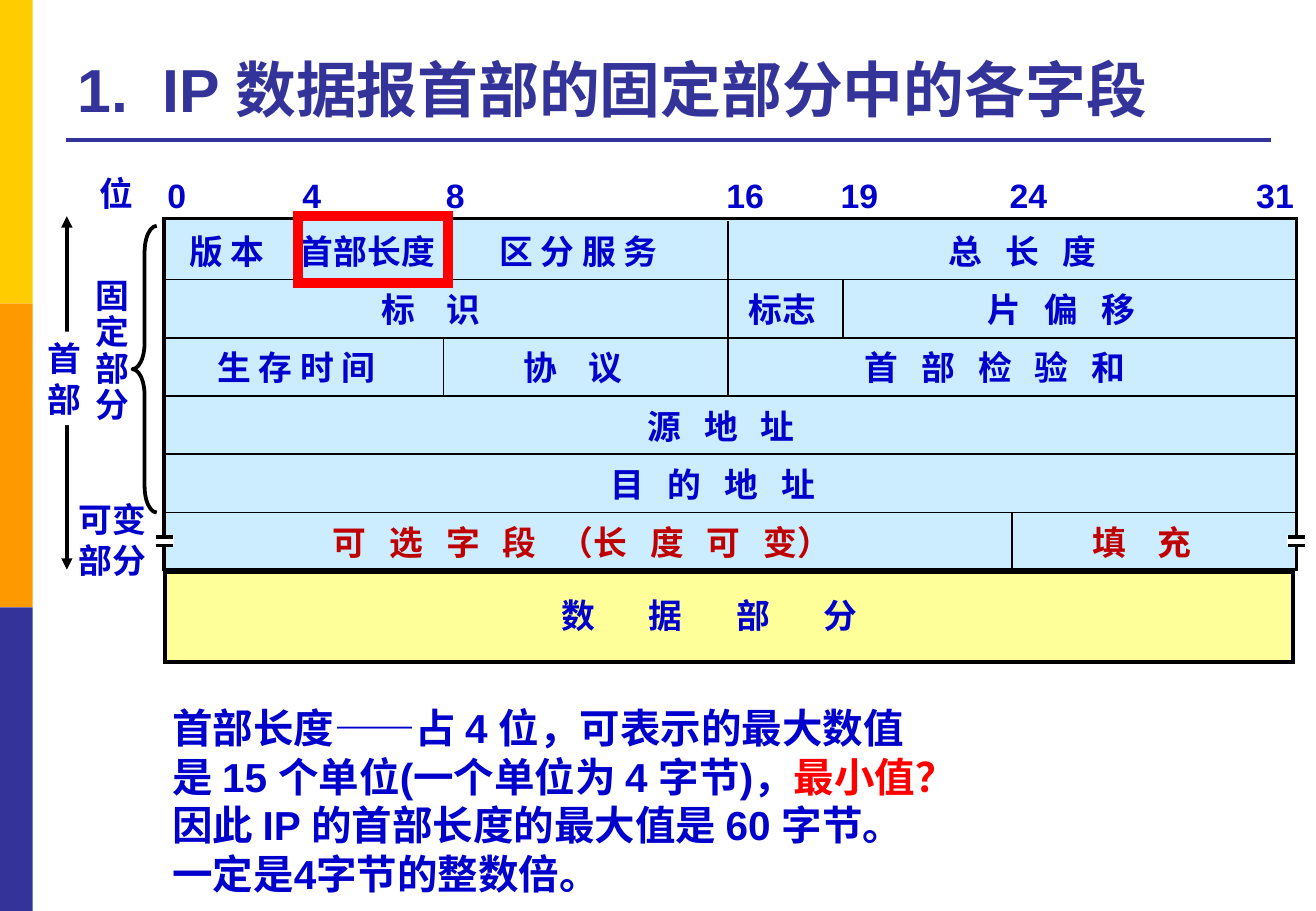
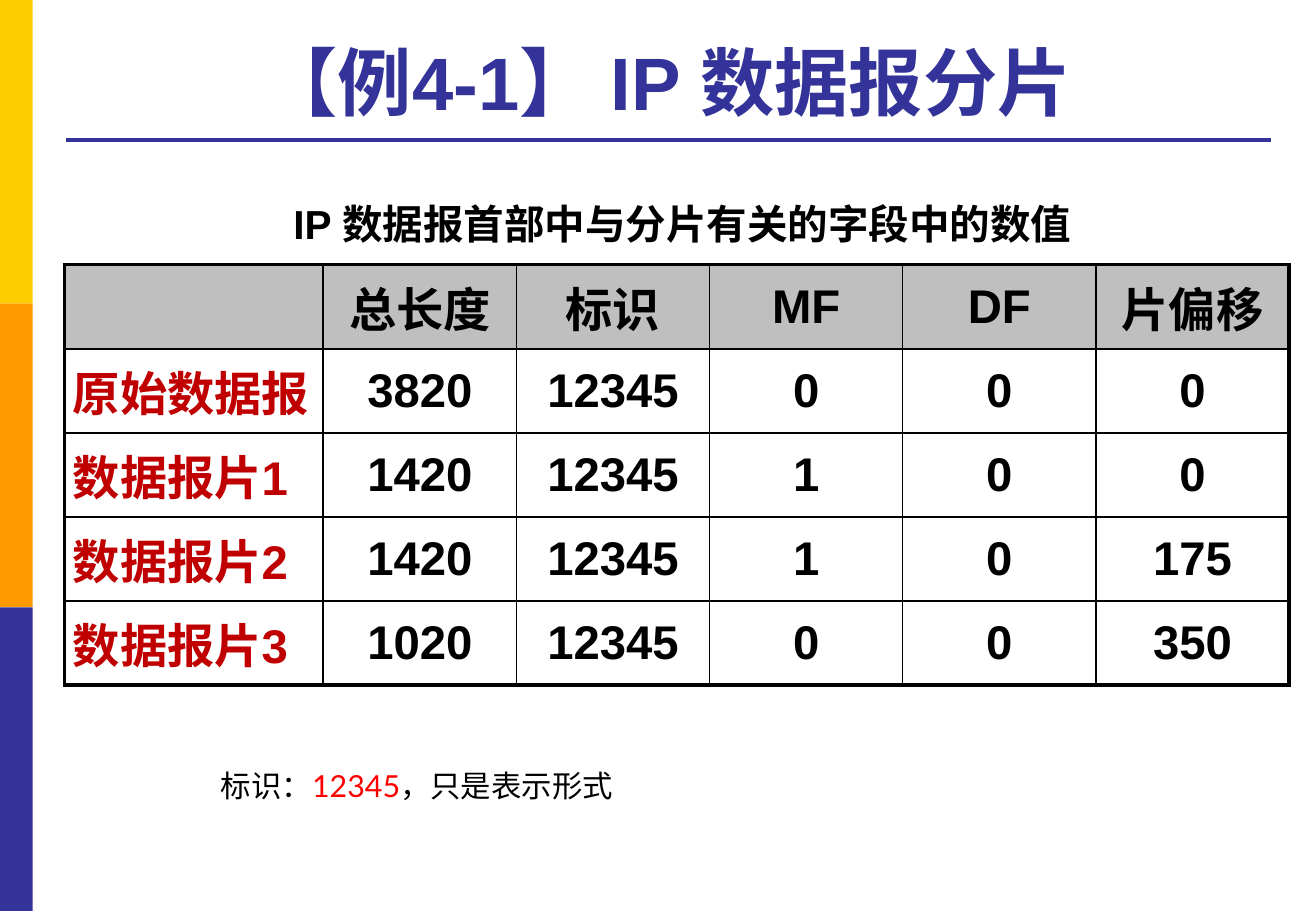
from lxml import etree
from pptx import Presentation
from pptx.dml.color import RGBColor
from pptx.enum.shapes import MSO_CONNECTOR, MSO_SHAPE
from pptx.enum.text import MSO_ANCHOR, MSO_AUTO_SIZE, PP_ALIGN
from pptx.oxml.ns import qn
from pptx.util import Inches, Pt

RECT, BRACE = MSO_SHAPE.RECTANGLE, MSO_SHAPE.LEFT_BRACE
STRAIGHT = MSO_CONNECTOR.STRAIGHT
LEFT, CENTER, JUSTIFY = PP_ALIGN.LEFT, PP_ALIGN.CENTER, PP_ALIGN.JUSTIFY
MIDDLE, BOTTOM = MSO_ANCHOR.MIDDLE, MSO_ANCHOR.BOTTOM
GROW, FIXED = MSO_AUTO_SIZE.SHAPE_TO_FIT_TEXT, MSO_AUTO_SIZE.NONE

COLORS = {
    "yellow": "FFCC00", "orange": "FF9900", "navy": "333399",
    "blue": "0000CC", "crimson": "C00000", "red": "FF0000",
    "sky": "CCECFF", "cream": "FFFF99", "gray": "BFBFBF",
    "black": "000000", "white": "FFFFFF",
}
PAGE_WIDTH, PAGE_HEIGHT = 10.83, 7.5
LABEL_HEIGHT = 0.43
WIDE, WIDER, WIDEST = 4.5, 7, 13.6  # letter spacing in points

# Header diagram: bit -> offset of its left edge, and the bit labels
BIT_OFFSETS = {0: 0, 4: 1.14, 8: 2.3, 16: 4.64, 19: 5.59, 24: 6.98}
BIT_LABELS = {0: -0.07, 4: 1.04, 8: 2.22, 16: 4.53, 19: 5.47, 24: 6.86, 31: 8.89}
OPTIONS = [("可 选 字 段 ", {}), ("（", {"spacing": 0}),
           ("长 度 可 ", {}), ("变）", {"spacing": 0})]
# Each row of fields: first bit, text, text offset in the field, letter spacing
FIELD_ROWS = [
    [(0, "版 本", 0.11, 0), (4, "首部长度", -0.12, 0),
     (8, "区 分 服 务", 0.36, 0), (16, "总 长 度", 1.72, WIDE)],
    [(0, "标 识", 1.69, WIDER), (16, "标志", 0.07, 0), (19, "片 偏 移", 1.09, WIDE)],
    [(0, "生 存 时 间", 0.34, 0), (8, "协 议", 0.56, WIDER),
     (16, "首 部 检 验 和", 1.03, WIDE)],
    [(0, "源 地 址", 3.88, WIDE)],
    [(0, "目 的 地 址", 3.58, WIDE)],
    [(0, OPTIONS, 1.29, WIDE), (24, "填 充", 0.56, WIDER)],
]
FRAGMENTS = [
    ["", "总长度", "标识", "MF", "DF", "片偏移"],
    ["原始数据报", "3820", "12345", "0", "0", "0"],
    ["数据报片1", "1420", "12345", "1", "0", "0"],
    ["数据报片2", "1420", "12345", "1", "0", "175"],
    ["数据报片3", "1020", "12345", "0", "0", "350"],
]


def rgb(name):
    return RGBColor.from_string(COLORS[name])


def write(frame, paragraphs, size=20, color="blue", font="Arial", bold=True,
          align=LEFT, line_spacing=None, spacing=0):
    """Fill a text frame; a paragraph is a string or a list of (text, changes)."""
    for index, content in enumerate(paragraphs):
        para = frame.paragraphs[0] if index == 0 else frame.add_paragraph()
        para.alignment = align
        if line_spacing:
            para.line_spacing = line_spacing
        spans = [(content, {})] if isinstance(content, str) else content
        for text, changes in spans:
            span = para.add_run()
            span.text = text
            span.font.name, span.font.size, span.font.bold = font, Pt(size), bold
            span.font.color.rgb = rgb(changes.get("color", color))
            gap = changes.get("spacing", spacing)
            if gap:
                span._r.get_or_add_rPr().set("spc", str(round(gap * 100)))


def add_text(page, paragraphs, left, top, width, height=LABEL_HEIGHT, wrap=True,
             **style):
    box = page.shapes.add_textbox(Inches(left), Inches(top), Inches(width),
                                  Inches(height))
    box.text_frame.word_wrap = wrap
    box.text_frame.auto_size = GROW
    write(box.text_frame, paragraphs, **style)
    return box


def add_label(page, content, left, top, spacing=0, **style):
    """One unwrapped 20 pt line in a box slightly wider than its text."""
    text = content if isinstance(content, str) else "".join(s[0] for s in content)
    width = 0.22 + sum(0.28 if ord(letter) > 255 else 0.08 if letter == " " else 0.16
                       for letter in text)
    width += len(text) * spacing / 72
    return add_text(page, [content], left, top, width, wrap=False,
                    spacing=spacing, **style)


def add_box(page, left, top, width, height, fill=None, line=None, weight=1,
            kind=RECT):
    box = page.shapes.add_shape(kind, Inches(left), Inches(top), Inches(width),
                                Inches(height))
    box.shadow.inherit = False
    if fill:
        box.fill.solid()
        box.fill.fore_color.rgb = rgb(fill)
    else:
        box.fill.background()
    if line:
        box.line.color.rgb = rgb(line)
        box.line.width = Pt(weight)
        if kind == RECT:  # square corners
            etree.SubElement(box.line._get_or_add_ln(), qn("a:miter"), lim="800000")
    else:
        box.line.fill.background()
    return box


def add_line(page, x1, y1, x2, y2, color="black", weight=1, arrows=False):
    line = page.shapes.add_connector(STRAIGHT, Inches(x1), Inches(y1),
                                     Inches(x2), Inches(y2))
    line.line.color.rgb = rgb(color)
    line.line.width = Pt(weight)
    if arrows:
        outline = line.line._get_or_add_ln()
        for end in ("a:headEnd", "a:tailEnd"):
            etree.SubElement(outline, qn(end), type="triangle")
    etree.SubElement(line.element.spPr, qn("a:effectLst"))


def add_page(deck, title, size, align=LEFT):
    """Title-only slide with the side bands and the rule under the title."""
    page = deck.slides.add_slide(deck.slide_layouts[5])
    band = PAGE_HEIGHT / 3
    for index, color in enumerate(("yellow", "orange", "navy")):
        add_box(page, 0, index * band, 0.27, band, color)
    add_line(page, 0.54, 1.15, 10.46, 1.15, "navy", 2.25)
    box = page.shapes.title
    box.left, box.top, box.width, box.height = map(Inches, (0.54, 0.21, 9.91, 0.87))
    box.text_frame.auto_size = FIXED
    box.text_frame.vertical_anchor = BOTTOM
    write(box.text_frame, [title], size=size, color="navy", align=align)
    return page


def add_break_mark(page, left, top):
    add_box(page, left, top, 0.16, 0.08, "white")
    for y in (top + 0.01, top + 0.08):
        add_line(page, left + 0.01, y, left + 0.15, y, weight=2)


def add_header_diagram(page, left, top, width, height):
    first_row, pitch = top + 0.02, 0.48
    add_box(page, left, top, width, height, "sky", "black", 2)
    add_box(page, left + 0.01, top + height + 0.02, width - 0.04, 0.74,
            "cream", "black", 2.25)

    # Bit scale
    add_label(page, "位", left - 0.63, top - 0.43)
    for bit, offset in BIT_LABELS.items():
        add_label(page, str(bit), left + offset, top - 0.41)

    # Fields with their dividers
    for row, fields in enumerate(FIELD_ROWS):
        row_top = first_row + row * pitch
        if row:
            add_line(page, left, row_top, left + width, row_top)
        color = "crimson" if row == len(FIELD_ROWS) - 1 else "blue"
        for bit, text, offset, spacing in fields:
            field_left = left + BIT_OFFSETS[bit]
            if bit:
                add_line(page, field_left, row_top, field_left, row_top + pitch)
            add_label(page, text, field_left + offset, row_top + 0.03,
                      spacing=spacing, color=color)
    for edge in (left, left + width):
        add_break_mark(page, edge - 0.08, top + 2.61)
    add_text(page, ["数 据 部 分"], left + 3.17, top + 3.05, 3.45, spacing=WIDEST)

    # Highlight on the header length field
    add_box(page, left + 1.1, top - 0.02, 1.24, 0.55, line="red", weight=6)


def add_side_labels(page, left, top, height):
    """Arrow, brace and names of the header parts, left of the diagram."""
    add_line(page, left + 0.26, top, left + 0.26, top + height, weight=2.25,
             arrows=True)
    box = add_box(page, left, top + 0.95, 0.48, 0.77, "white")
    box.text_frame.word_wrap = False
    write(box.text_frame, ["首", "部"])
    add_text(page, list("固定部分"), left + 0.4, top + 0.47, 0.48, 1.31, wrap=False,
             line_spacing=0.9)
    add_text(page, ["可变", "部分"], left + 0.26, top + 2.28, 0.78, 0.77, wrap=False)
    brace = add_box(page, left + 0.8, top + 0.08, 0.2, 2.36, line="black",
                    weight=2.25, kind=BRACE)
    brace.adjustments[0] = 1.08


def set_borders(cell, weights):
    properties = cell._tc.get_or_add_tcPr()
    for side, weight in zip("LRTB", weights):
        line = etree.SubElement(properties, qn(f"a:ln{side}"), w=str(Pt(weight)))
        fill = etree.SubElement(line, qn("a:solidFill"))
        etree.SubElement(fill, qn("a:srgbClr"), val=COLORS["black"])


def add_fragment_table(page, rows, left, top, width, height):
    row_count, column_count = len(rows), len(rows[0])
    table = page.shapes.add_table(row_count, column_count, Inches(left), Inches(top),
                                  Inches(width), Inches(height)).table
    table.first_row = table.horz_banding = False
    first_width = 2.13
    for index, column in enumerate(table.columns):
        column.width = Inches((width - first_width) / (column_count - 1)
                              if index else first_width)
    for y, values in enumerate(rows):
        for x, value in enumerate(values):
            cell = table.cell(y, x)
            cell.margin_left = cell.margin_right = Inches(0.07)
            cell.margin_top = cell.margin_bottom = 0
            cell.vertical_anchor = MIDDLE
            outer = (x == 0, x == column_count - 1, y == 0, y == row_count - 1)
            set_borders(cell, [2.25 if edge else 1 for edge in outer])
            if y == 0:
                cell.fill.solid()
                cell.fill.fore_color.rgb = rgb("gray")
            else:
                cell.fill.background()
            if value:
                write(cell.text_frame, [value], size=28,
                      color="black" if x or not y else "crimson",
                      align=CENTER if x else JUSTIFY)


def build_header_page(deck):
    title = [("1.", {}), (" ", {"spacing": 10}),
             ("IP 数据报首部的固定部分中的各字段", {})]
    page = add_page(deck, title, 36)
    add_header_diagram(page, 1.35, 1.8, 9.32, 2.89)
    add_side_labels(page, 0.29, 1.78, 2.91)
    add_text(page, [
        "首部长度——占 4 位，可表示的最大数值",
        [("是 15 个单位(一个单位为 4 字节)，", {}), ("最小值？", {"color": "red"})],
        "因此 IP 的首部长度的最大值是 60 字节。",
        "一定是4字节的整数倍。",
    ], 1.32, 5.74, 9.35, 1.72, size=24)


def build_fragment_page(deck):
    page = add_page(deck, "【例4-1】 IP 数据报分片", 44, CENTER)
    add_fragment_table(page, FRAGMENTS, 0.53, 2.18, 10.08, 3.46)
    add_text(page, ["IP 数据报首部中与分片有关的字段中的数值"], 1.48, 1.59, 8.27, 0.5,
             size=24, color="black", align=CENTER)
    add_text(page, [[("标识：", {}), ("12345", {"color": "red"}),
                     ("，只是表示形式", {})]],
             1.72, 6.27, 3.46, 0.4, size=18, color="black", font="Lato", bold=False)


def main():
    deck = Presentation()
    deck.slide_width, deck.slide_height = Inches(PAGE_WIDTH), Inches(PAGE_HEIGHT)
    build_header_page(deck)
    build_fragment_page(deck)
    deck.save("out.pptx")


if __name__ == "__main__":
    main()
